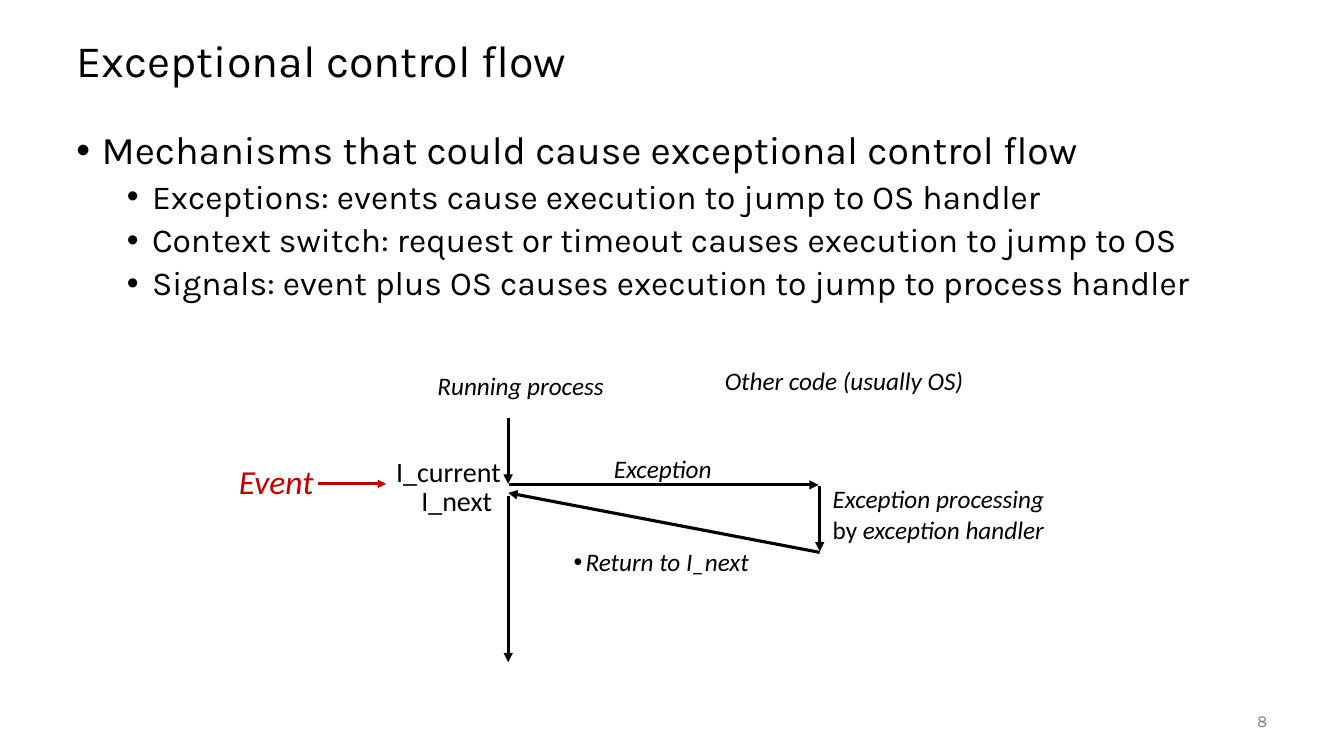
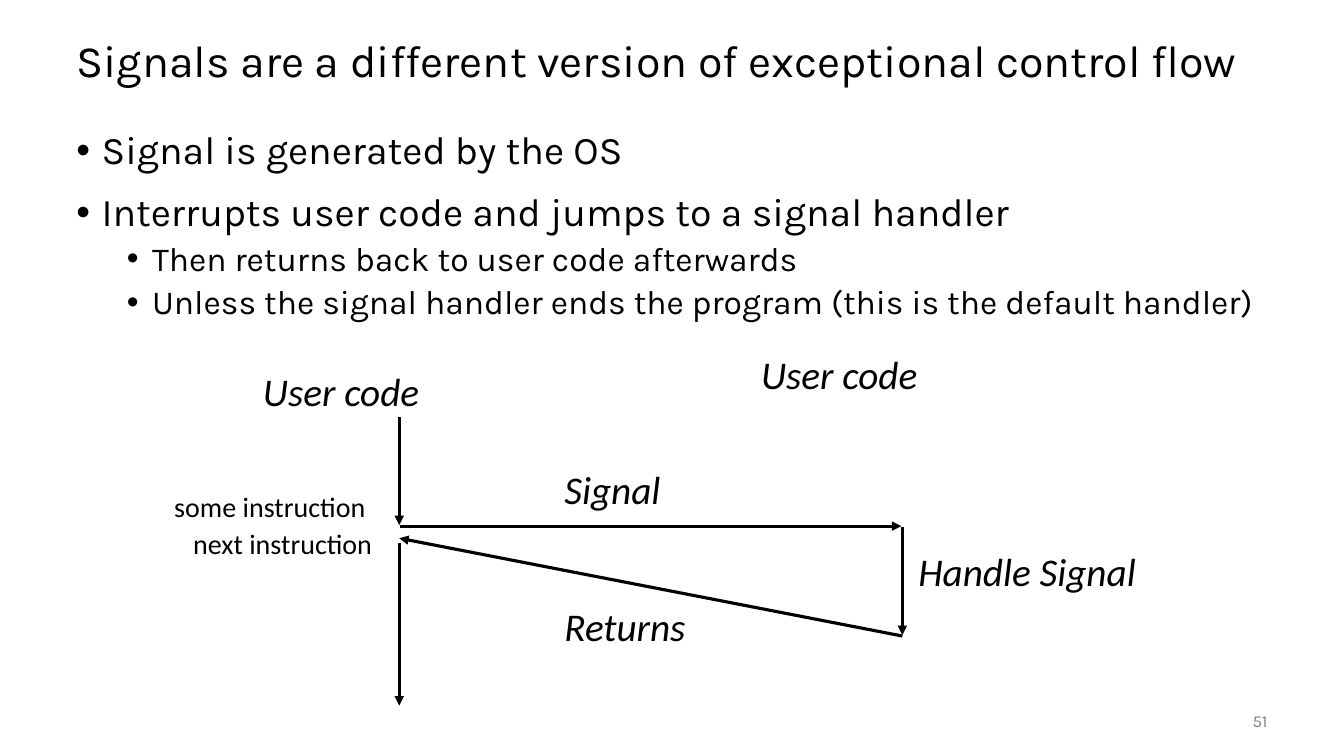
from pptx import Presentation
from pptx.dml.color import RGBColor
from pptx.enum.shapes import MSO_CONNECTOR
from pptx.enum.text import MSO_ANCHOR, MSO_AUTO_SIZE, PP_ALIGN
from pptx.oxml.ns import qn
from pptx.util import Inches, Pt
from lxml.etree import SubElement

BLACK = RGBColor(0x00, 0x00, 0x00)
GRAY = RGBColor(0x80, 0x80, 0x80)
RED = RGBColor(0xC0, 0x00, 0x00)
HEADING_FONT = "Karla"
LABEL_FONT = "Calibri"
BULLET_STYLES = (
    {"size": 28, "indent": 0.25, "space_before": 14},
    {"size": 24, "indent": 0.75, "space_before": 5},
)


def add_bullet(para, indent, hanging):
    properties = para._p.get_or_add_pPr()
    properties.set("marL", str(Inches(indent)))
    properties.set("indent", str(-Inches(hanging)))
    SubElement(properties, qn("a:buFont")).set("typeface", "Arial")
    SubElement(properties, qn("a:buChar")).set("char", "•")


def write_span(para, text, size=18, font=LABEL_FONT, color=BLACK, italic=False):
    span = para.add_run()
    span.text = text
    span.font.size = Pt(size)
    span.font.name = font
    span.font.color.rgb = color
    span.font.italic = italic


def add_box(page, left, top, width, height, wrap=True, anchor=MSO_ANCHOR.TOP):
    box = page.shapes.add_textbox(
        Inches(left), Inches(top), Inches(width), Inches(height)
    )
    frame = box.text_frame
    frame.word_wrap = wrap
    frame.vertical_anchor = anchor
    return frame


def add_title(page, text):
    frame = add_box(page, 0.66, 0.25, 12, 0.75, anchor=MSO_ANCHOR.MIDDLE)
    para = frame.paragraphs[0]
    para.line_spacing = 0.9
    write_span(para, text, size=32, font=HEADING_FONT)


def add_bullets(page, items):
    frame = add_box(page, 0.66, 1.25, 12, 5.5)
    for index, (level, text) in enumerate(items):
        para = frame.add_paragraph() if index else frame.paragraphs[0]
        style = BULLET_STYLES[level]
        para.level = level
        add_bullet(para, style["indent"], 0.25)
        para.line_spacing = 0.9
        para.space_before = Pt(style["space_before"] if index else 0)
        write_span(para, text, size=style["size"], font=HEADING_FONT)


def add_page_number(page, number):
    frame = add_box(page, 11.67, 6.95, 1, 0.4, anchor=MSO_ANCHOR.MIDDLE)
    para = frame.paragraphs[0]
    para.alignment = PP_ALIGN.RIGHT
    write_span(para, str(number), size=12, font=HEADING_FONT, color=GRAY)


def add_label(page, place, text, wrap=False, align=PP_ALIGN.LEFT, bullet=False, **style):
    frame = add_box(page, *place, wrap=wrap)
    frame.auto_size = MSO_AUTO_SIZE.SHAPE_TO_FIT_TEXT
    para = frame.paragraphs[0]
    if bullet:
        add_bullet(para, 0.12, 0.12)
    para.alignment = align
    write_span(para, text, **style)
    return frame


def add_arrow(page, start, end, color=BLACK, width=2.25):
    arrow = page.shapes.add_connector(
        MSO_CONNECTOR.STRAIGHT, *(Inches(value) for value in (*start, *end))
    )
    arrow.line.color.rgb = color
    arrow.line.width = Pt(width)
    SubElement(arrow.line._get_or_add_ln(), qn("a:tailEnd")).set("type", "triangle")
    SubElement(arrow._element.spPr, qn("a:effectLst"))


def add_control_flow(page, left, right, start, jump, handled, back, resume, finish):
    gap = 0.01
    add_arrow(page, (left, start), (left, jump - gap))
    add_arrow(page, (left + gap, jump), (right - gap, jump))
    add_arrow(page, (right, jump + gap), (right, handled - gap))
    add_arrow(page, (right, handled), (left, back))
    add_arrow(page, (left, resume), (left, finish))


def add_page(deck, title, items, number):
    page = deck.slides.add_slide(deck.slide_layouts[6])
    add_title(page, title)
    add_bullets(page, items)
    add_page_number(page, number)
    return page


def build_exception_page(deck):
    page = add_page(
        deck,
        "Exceptional control flow",
        (
            (0, "Mechanisms that could cause exceptional control flow"),
            (1, "Exceptions: events cause execution to jump to OS handler"),
            (1, "Context switch: request or timeout causes execution to jump to OS"),
            (1, "Signals: event plus OS causes execution to jump to process handler"),
        ),
        8,
    )
    add_control_flow(
        page, left=5.04, right=8.13, start=4.15, jump=4.81,
        handled=5.48, back=4.89, resume=4.92, finish=6.57,
    )
    for place, text in (
        ((4.24, 3.62, 1.87, 0.4), "Running process"),
        ((7.09, 3.58, 2.57, 0.4), "Other code (usually OS)"),
        ((5.99, 4.45, 1.25, 0.4), "Exception"),
    ):
        add_label(page, place, text, italic=True)
    add_label(page, (5.59, 5.37, 1.96, 0.4), "Return to I_next", bullet=True, italic=True)
    handler = add_label(
        page, (8.16, 4.75, 2.35, 1.01), "Exception processing", wrap=True, italic=True
    )
    para = handler.add_paragraph()
    write_span(para, "by ")
    write_span(para, "exception handler", italic=True)
    add_label(
        page, (2.27, 4.52, 1.25, 0.5), "Event", wrap=True, size=24, color=RED, italic=True
    )
    add_label(page, (3.83, 4.46, 1.25, 0.44), "I_current", size=20)
    add_label(page, (4.08, 4.75, 0.91, 0.44), "I_next", size=20)
    add_arrow(page, (3.15, 4.8), (3.83, 4.8), color=RED, width=2)


def build_signal_page(deck):
    page = add_page(
        deck,
        "Signals are a different version of exceptional control flow",
        (
            (0, "Signal is generated by the OS"),
            (0, "Interrupts user code and jumps to a signal handler"),
            (1, "Then returns back to user code afterwards"),
            (1, "Unless the signal handler ends the program (this is the default handler)"),
        ),
        51,
    )
    add_control_flow(
        page, left=3.96, right=8.95, start=4.14, jump=5.22,
        handled=6.31, back=5.34, resume=5.39, finish=7,
    )
    for place, text in (
        ((2.51, 3.59, 1.77, 0.57), "User code"),
        ((7.45, 3.43, 1.77, 0.57), "User code"),
        ((5.5, 4.57, 1.16, 0.57), "Signal"),
        ((5.5, 5.93, 1.41, 0.57), "Returns"),
    ):
        add_label(page, place, text, size=28, italic=True)
    add_label(
        page, (9.01, 5.38, 2.4, 0.57), "Handle Signal", wrap=True, size=28, italic=True
    )
    add_label(page, (1.63, 4.81, 3.36, 0.44), "some instruction", wrap=True, size=20)
    add_label(
        page, (0.66, 5.17, 3.13, 0.44), "next instruction",
        wrap=True, align=PP_ALIGN.RIGHT, size=20,
    )


def main():
    deck = Presentation()
    deck.slide_width = Inches(13.33)
    deck.slide_height = Inches(7.5)
    build_exception_page(deck)
    build_signal_page(deck)
    deck.save("out.pptx")


if __name__ == "__main__":
    main()
